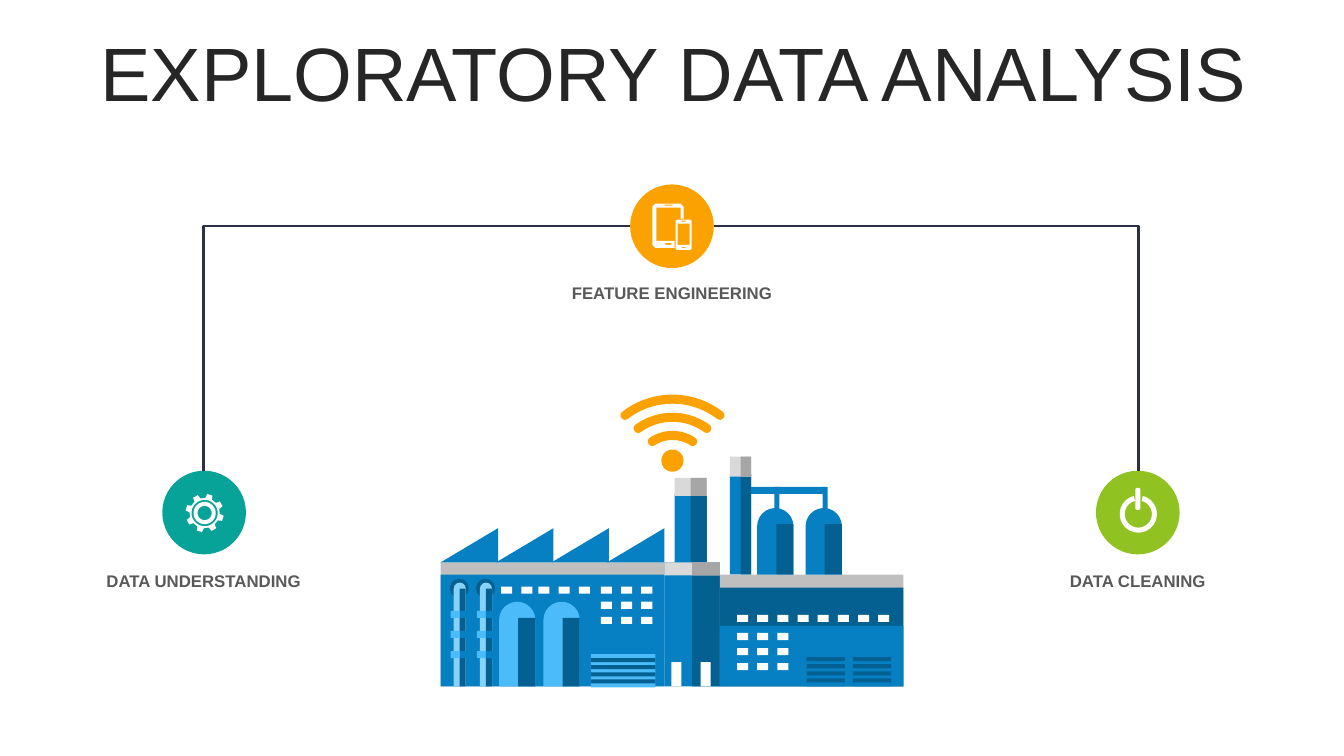
from dataclasses import dataclass
from math import asin, cos, pi, radians, sin

from lxml import etree
from pptx import Presentation
from pptx.dml import color
from pptx.enum import shapes, text
from pptx.oxml import ns
from pptx import util as u

KIND = shapes.MSO_SHAPE


@dataclass(frozen=True)
class Theme:
    font: str = "Arial"
    head: int = 54
    label: int = 12
    ink: str = "262626"
    grey: str = "595959"
    line: str = "2C2F45"
    white: str = "FFFFFF"
    blue: str = "0680C3"
    navy: str = "056092"
    sky: str = "4BBCF9"
    pale: str = "87D2FB"
    roof: str = "BFBFBF"
    light: str = "D9D9D9"
    shade: str = "A6A6A6"
    gold: str = "FBA200"
    teal: str = "07A398"
    green: str = "90C221"


def inch(size):
    return u.Cm(2.54 * size)


def arc(x, y, r, start, end, steps=24):
    turns = [start + (end - start) * i / steps for i in range(steps + 1)]
    return [(x + r * cos(a), y + r * sin(a)) for a in turns]


def ring(x, y, r):
    return arc(x, y, r, 0, 2 * pi, 48)


def band(x, y, r, thick, start, end, cap=True):
    half = thick / 2
    path = arc(x, y, r + half, start, end)
    if cap:
        path += arc(x + r * cos(end), y + r * sin(end), half, end, end + pi, 8)
    path += arc(x, y, r - half, end, start)
    if cap:
        path += arc(x + r * cos(start), y + r * sin(start), half, start + pi, start + 2 * pi, 8)
    return path


def bow(x, top, half, drop, thick):
    r = (half ** 2 + drop ** 2) / (2 * drop)
    bend = asin(half / r)
    return band(x, top + r, r, thick, -pi / 2 - bend, -pi / 2 + bend)


def pane(left, top, right, base, r=0):
    if not r:
        return [(left, top), (right, top), (right, base), (left, base)]
    spots = [(right - r, base - r), (left + r, base - r), (left + r, top + r), (right - r, top + r)]
    return [p for i, (x, y) in enumerate(spots) for p in arc(x, y, r, i * pi / 2, (i + 1) * pi / 2, 6)]


def teeth(x, y):
    path = []
    for i in range(8):
        for r, turn in ((0.15, -13), (0.19, -8), (0.19, 8), (0.15, 13)):
            a = radians(16 + 45 * i + turn)
            path.append((x + r * cos(a), y + r * sin(a)))
    return path


class Deck:
    def __init__(self, theme):
        self.theme = theme
        self.show = Presentation()
        self.show.slide_width, self.show.slide_height = inch(13.33), inch(7.5)
        self.slide = self.show.slides.add_slide(self.show.slide_layouts[6])
        self.pen = self.slide.shapes

    def paint(self, shape, fill):
        shape.shadow.inherit = False
        shape.fill.solid()
        shape.fill.fore_color.rgb = color.RGBColor.from_string(fill)
        shape.line.fill.background()

    def box(self, left, top, wide, high, fill, kind=KIND.RECTANGLE, flip=False):
        shape = self.pen.add_shape(kind, *map(inch, (left, top, wide, high)))
        if kind == KIND.ROUND_2_SAME_RECTANGLE:
            shape.adjustments[0] = 0.5
        if flip:
            shape._element.xpath("./p:spPr/a:xfrm")[0].set("flipH", "1")
        self.paint(shape, fill)

    def disc(self, left, top, size, fill):
        self.box(left, top, size, size, fill, KIND.OVAL)

    def icon(self, paths, fill):
        paths = [[(inch(x), inch(y)) for x, y in path] for path in paths]
        form = self.pen.build_freeform(*paths[0][0], scale=1.0)
        form.add_line_segments(paths[0][1:], close=True)
        for path in paths[1:]:
            form.move_to(*path[0])
            form.add_line_segments(path[1:], close=True)
        self.paint(form.convert_to_shape(), fill)

    def bend(self, x1, y1, x2, y2):
        wire = self.pen.add_connector(shapes.MSO_CONNECTOR.ELBOW, *map(inch, (x1, y1, x2, y2)))
        wire.line.width = u.Pt(1.75)
        wire.line.color.rgb = color.RGBColor.from_string(self.theme.line)
        wire._element.xpath("./p:spPr/a:prstGeom")[0].set("prst", "bentConnector2")
        etree.SubElement(wire._element.spPr, ns.qn("a:effectLst"))

    def say(self, words, at, size, fill, bold=False, space=1.0, anchor=text.MSO_ANCHOR.TOP):
        frame = self.pen.add_textbox(*map(inch, at)).text_frame
        frame.word_wrap = True
        frame.vertical_anchor = anchor
        para = frame.paragraphs[0]
        para.text = words
        para.alignment = text.PP_ALIGN.CENTER
        para.line_spacing = space
        font = para.font
        font.name, font.size, font.bold = self.theme.font, u.Pt(size), bold
        font.color.rgb = color.RGBColor.from_string(fill)

    def panes(self, left, top, cols, rows=1):
        for row in range(rows):
            for col in range(cols):
                self.box(left + 0.2 * col, top + 0.15 * row, 0.11, 0.07, self.theme.white)

    def vent(self, left, top, wide, fill):
        self.box(left, top, wide, 0.33, fill)
        for i in range(4):
            self.box(left, top + 0.04 + 0.07 * i, wide, 0.04, self.theme.navy)

    def tank(self, left, top, high, fill):
        self.box(left, top, 0.36, high, fill, KIND.ROUND_2_SAME_RECTANGLE)
        self.box(left + 0.19, top + 0.16, 0.17, high - 0.16, self.theme.navy)

    def pipe(self, left):
        t = self.theme
        self.disc(left, 5.74, 0.19, t.navy)
        self.box(left + 0.04, 5.78, 0.12, 1.03, t.pale, KIND.ROUND_2_SAME_RECTANGLE)
        self.box(left + 0.1, 5.84, 0.06, 0.97, t.navy)
        for i in range(3):
            self.box(left + 0.01, 6.06 + 0.2 * i, 0.09, 0.07, t.sky)
            self.box(left + 0.1, 6.06 + 0.2 * i, 0.09, 0.07, t.blue)

    def split(self, left, top, wide, high, fill, dark):
        self.box(left, top, wide, high, fill)
        self.box(left + wide / 2, top, wide / 2, high, dark)

    def plant(self):
        t = self.theme
        self.pen = self.slide.shapes.add_group_shape().shapes
        self.box(4.37, 5.58, 2.22, 1.23, t.roof)
        self.box(4.37, 5.7, 2.22, 1.11, t.blue)
        for left in (4.95, 5.39):
            self.tank(left, 5.97, 0.84, t.sky)
        for left in (4.46, 4.72):
            self.pipe(left)
        self.vent(5.86, 6.49, 0.64, t.sky)
        for i in range(4):
            self.box(4.37 + 0.55 * i, 5.24, 0.57, 0.34, t.blue, KIND.RIGHT_TRIANGLE, True)
        self.panes(5.96, 5.82, 3, 3)
        self.panes(5.34, 5.82, 3)
        self.panes(4.97, 5.82, 2)
        self.split(6.59, 5.58, 0.55, 1.23, t.blue, t.navy)
        self.split(6.69, 4.9, 0.32, 0.69, t.blue, t.navy)
        self.split(6.69, 4.74, 0.32, 0.18, t.light, t.shade)
        for left in (6.66, 6.95):
            self.box(left, 6.57, 0.1, 0.24, t.white)
        self.split(6.59, 5.58, 0.55, 0.13, t.light, t.shade)
        for top, fill in ((5.7, t.roof), (5.83, t.navy), (6.21, t.blue)):
            self.box(7.14, top, 1.82, 6.81 - top, fill)
        for left in (8, 8.46):
            self.vent(left, 6.48, 0.38, t.blue)
        self.panes(7.31, 6.1, 8)
        self.panes(7.31, 6.28, 3, 3)
        for left in (7.51, 7.99):
            self.tank(left, 5.04, 0.66, t.blue)
        self.split(7.24, 4.7, 0.21, 1, t.blue, t.navy)
        self.split(7.24, 4.53, 0.21, 0.2, t.light, t.shade)
        self.box(7.45, 4.83, 0.73, 0.07, t.blue)
        for left in (7.68, 8.16):
            self.box(left, 4.83, 0.05, 0.26, t.blue)
        self.pen = self.slide.shapes


def main():
    t = Theme()
    deck = Deck(t)
    deck.plant()
    deck.say("EXPLORATORY DATA ANALYSIS", (0.35, 0.37, 12.66, 0.79), t.head, t.ink,
             space=0.9, anchor=text.MSO_ANCHOR.MIDDLE)
    gear = [teeth(2.03, 5.09)] + [ring(2.03, 5.09, r) for r in (0.13, 0.11, 0.07)]
    power = [band(11.29, 5.1, 0.16, 0.05, radians(-76), radians(256), False),
             pane(11.26, 4.84, 11.31, 5.06, 0.02)]
    tablet = [(6.5, 2.02), (6.75, 2.02), (6.78, 2.05), (6.78, 2.17), (6.75, 2.17), (6.75, 2.06),
              (6.51, 2.06), (6.51, 2.39), (6.69, 2.39), (6.69, 2.46), (6.5, 2.46), (6.47, 2.43),
              (6.47, 2.05)]
    phone = [tablet, pane(6.59, 2.03, 6.67, 2.04), pane(6.6, 2.41, 6.66, 2.43),
             pane(6.7, 2.18, 6.86, 2.48, 0.02), pane(6.72, 2.22, 6.84, 2.43),
             pane(6.76, 2.19, 6.8, 2.2), pane(6.76, 2.45, 6.8, 2.46)]
    steps = (
        ("DATA UNDERSTANDING", (0.47, 5.61, 3.1, 0.3), (1.61, 4.67), t.teal, gear),
        ("DATA CLEANING", (9.75, 5.61, 3.07, 0.3), (10.87, 4.67), t.green, power),
        ("FEATURE ENGINEERING", (4.94, 2.76, 3.45, 0.3), (6.25, 1.83), t.gold, phone),
    )
    for words, at, spot, fill, paths in steps:
        deck.say(words, at, t.label, t.grey, bold=True)
        deck.disc(*spot, 0.83, fill)
        deck.icon(paths, t.white)
    deck.bend(7.08, 2.24, 11.29, 4.67)
    deck.bend(6.25, 2.24, 2.02, 4.67)
    waves = ((3.96, 0.47, 0.16), (4.14, 0.34, 0.11), (4.32, 0.2, 0.06))
    deck.icon([ring(6.67, 4.57, 0.11)] + [bow(6.67, *wave, 0.09) for wave in waves], t.gold)
    deck.show.save("out.pptx")


if __name__ == "__main__":
    main()
